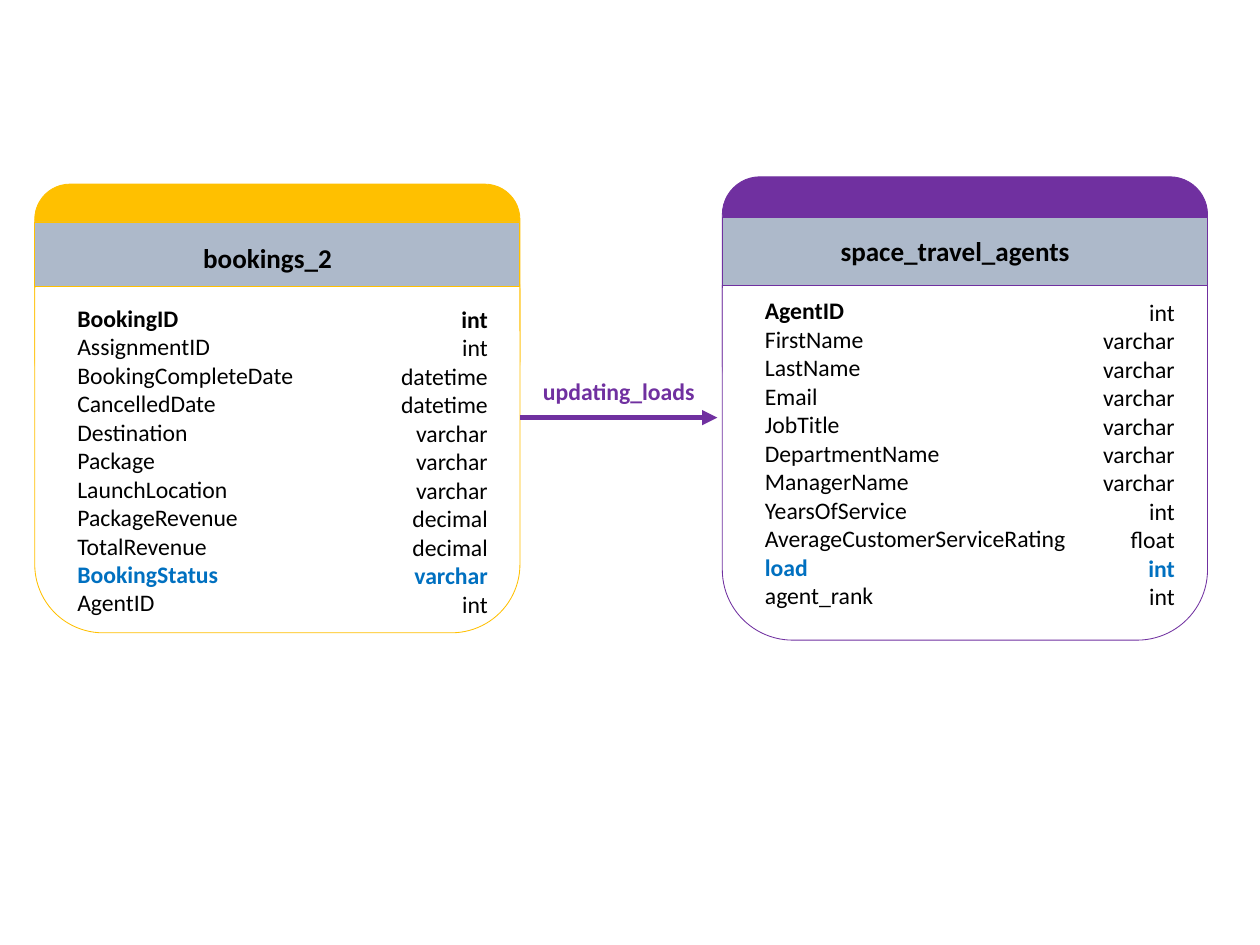
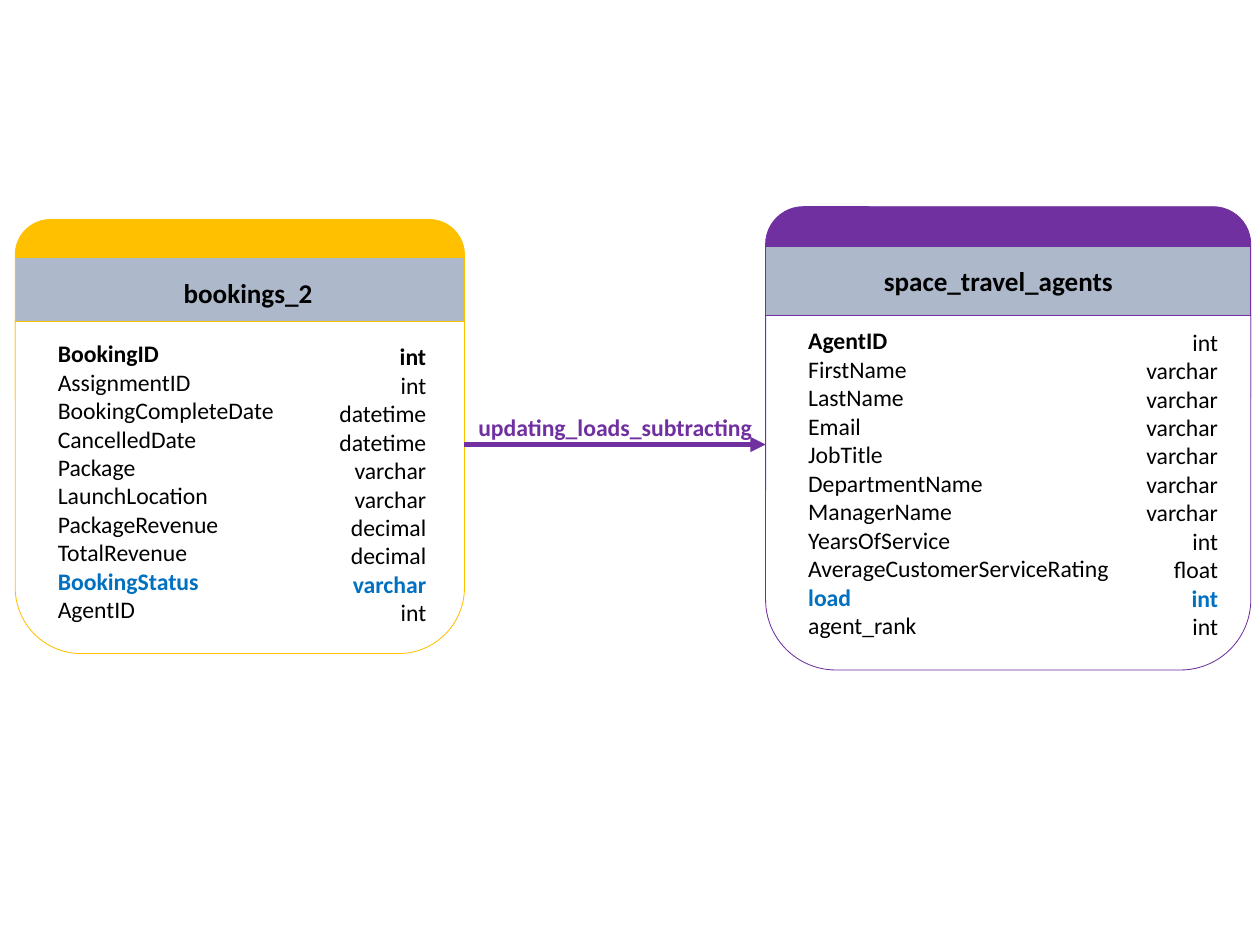
from pptx import Presentation
from pptx.dml.color import RGBColor
from pptx.enum.shapes import MSO_CONNECTOR, MSO_SHAPE
from pptx.enum.text import PP_ALIGN
from pptx.oxml.ns import qn
from pptx.util import Inches, Pt
from lxml import etree

ROUND, RECT = MSO_SHAPE.ROUNDED_RECTANGLE, MSO_SHAPE.RECTANGLE
STRAIGHT = MSO_CONNECTOR.STRAIGHT
LEFT, CENTER, RIGHT = PP_ALIGN.LEFT, PP_ALIGN.CENTER, PP_ALIGN.RIGHT

FONT = "Calibri"
PURPLE, GOLD, BAND = "7030A0", "FFC000", "ADB9CA"
BLACK, WHITE, BLUE = "000000", "FFFFFF", "0070C0"

NAME_INSET = 0.6
TYPE_WIDTH = 1.7
TITLE_INSET, TITLE_WIDTH = 1.82, 4

AGENTS = dict(
    title="space_travel_agents", color=PURPLE, cap=3.71, head=0.66, band=1.12,
    title_top=0.9, changed="load", bold_key_type=False,
    rows=[("AgentID", "int"), ("FirstName", "varchar"), ("LastName", "varchar"),
          ("Email", "varchar"), ("JobTitle", "varchar"),
          ("DepartmentName", "varchar"), ("ManagerName", "varchar"),
          ("YearsOfService", "int"), ("AverageCustomerServiceRating", "float"),
          ("load", "int"), ("agent_rank", "int")])

BOOKINGS = dict(
    title="bookings_2", color=GOLD, cap=3.47, head=0.62, band=1.05,
    title_top=0.89, changed="BookingStatus", bold_key_type=True,
    rows=[("BookingID", "int"), ("AssignmentID", "int"),
          ("BookingCompleteDate", "datetime"), ("CancelledDate", "datetime"),
          ("Destination", "varchar"), ("Package", "varchar"),
          ("LaunchLocation", "varchar"), ("PackageRevenue", "decimal"),
          ("TotalRevenue", "decimal"), ("BookingStatus", "varchar"),
          ("AgentID", "int")])

BOOKINGS_NO_DESTINATION = dict(
    BOOKINGS, rows=[row for row in BOOKINGS["rows"] if row[0] != "Destination"])

# Each card: table, left, top, width, body height, right inset, top of the types
SLIDES = [
    dict(cards=[(AGENTS, 11.85, 2.9, 7.96, 6.93, 0.44, 1.93),
                (BOOKINGS, 0.57, 3.02, 7.96, 6.73, 0.43, 1.93)],
         label="updating_loads", label_top=6.13, arrow=(8.53, 11.77, 6.85)),
    dict(cards=[(BOOKINGS_NO_DESTINATION, 0.25, 3.6, 7.37, 6.49, 0.53, 1.96),
                (AGENTS, 12.56, 3.39, 7.96, 6.93, 0.44, 1.93)],
         label="updating_loads_subtracting", label_top=6.72,
         arrow=(7.62, 12.56, 7.29)),
]


def rgb(color):
    return RGBColor.from_string(color)


def add_text(shapes, box, lines, size, align, wrap=True):
    """Add a text box; each line is (text, colour, bold)."""
    tf = shapes.add_textbox(*map(Inches, box)).text_frame
    tf.word_wrap = wrap
    for i, (text, color, bold) in enumerate(lines):
        p = tf.add_paragraph() if i else tf.paragraphs[0]
        p.text = text
        p.alignment = align
        font = p.runs[0].font
        font.name, font.size, font.bold = FONT, Pt(size), bold
        font.color.rgb = rgb(color)


prs = Presentation()
prs.slide_width, prs.slide_height = Inches(20.67), Inches(15.5)

for page in SLIDES:
    s = prs.slides.add_slide(prs.slide_layouts[6])

    for table, left, top, width, body, right_inset, types_top in page["cards"]:
        shapes = s.shapes.add_group_shape().shapes
        head = top + table["head"]
        for kind, y, height, fill in [(ROUND, top, table["cap"], table["color"]),
                                      (ROUND, head + 0.01, body, WHITE),
                                      (RECT, head, table["band"], BAND)]:
            sp = shapes.add_shape(kind, *map(Inches, (left, y, width, height)))
            sp.shadow.inherit = False
            sp.fill.solid()
            sp.fill.fore_color.rgb = rgb(fill)
            sp.line.color.rgb = rgb(table["color"])
            sp.line.width = Pt(1)

        add_text(shapes, (left + TITLE_INSET, top + table["title_top"],
                          TITLE_WIDTH, 0.64),
                 [(table["title"], BLACK, True)], 32, CENTER, wrap=False)

        names, types = [], []
        for i, (name, kind) in enumerate(table["rows"]):
            changed = name == table["changed"]
            color = BLUE if changed else BLACK
            names.append((name, color, changed or i == 0))
            types.append((kind, color,
                          changed or (i == 0 and table["bold_key_type"])))

        types_left = left + width - right_inset - TYPE_WIDTH
        names_left = left + NAME_INSET
        list_height = 0.48 * len(names)
        add_text(shapes, (names_left, top + 1.91, types_left - names_left,
                          list_height), names, 28, LEFT)
        add_text(shapes, (types_left, top + types_top, TYPE_WIDTH, list_height),
                 types, 28, RIGHT)

    start, end, y = page["arrow"]
    add_text(s.shapes, (start, page["label_top"], end - start, 0.57),
             [(page["label"], PURPLE, True)], 28, CENTER, wrap=False)
    arrow = s.shapes.add_connector(STRAIGHT, *map(Inches, (start, y, end, y)))
    arrow.line.color.rgb = rgb(PURPLE)
    arrow.line.width = Pt(6)
    etree.SubElement(arrow.line._get_or_add_ln(), qn("a:tailEnd"), type="triangle")
    etree.SubElement(arrow._element.spPr, qn("a:effectLst"))

prs.save("out.pptx")
